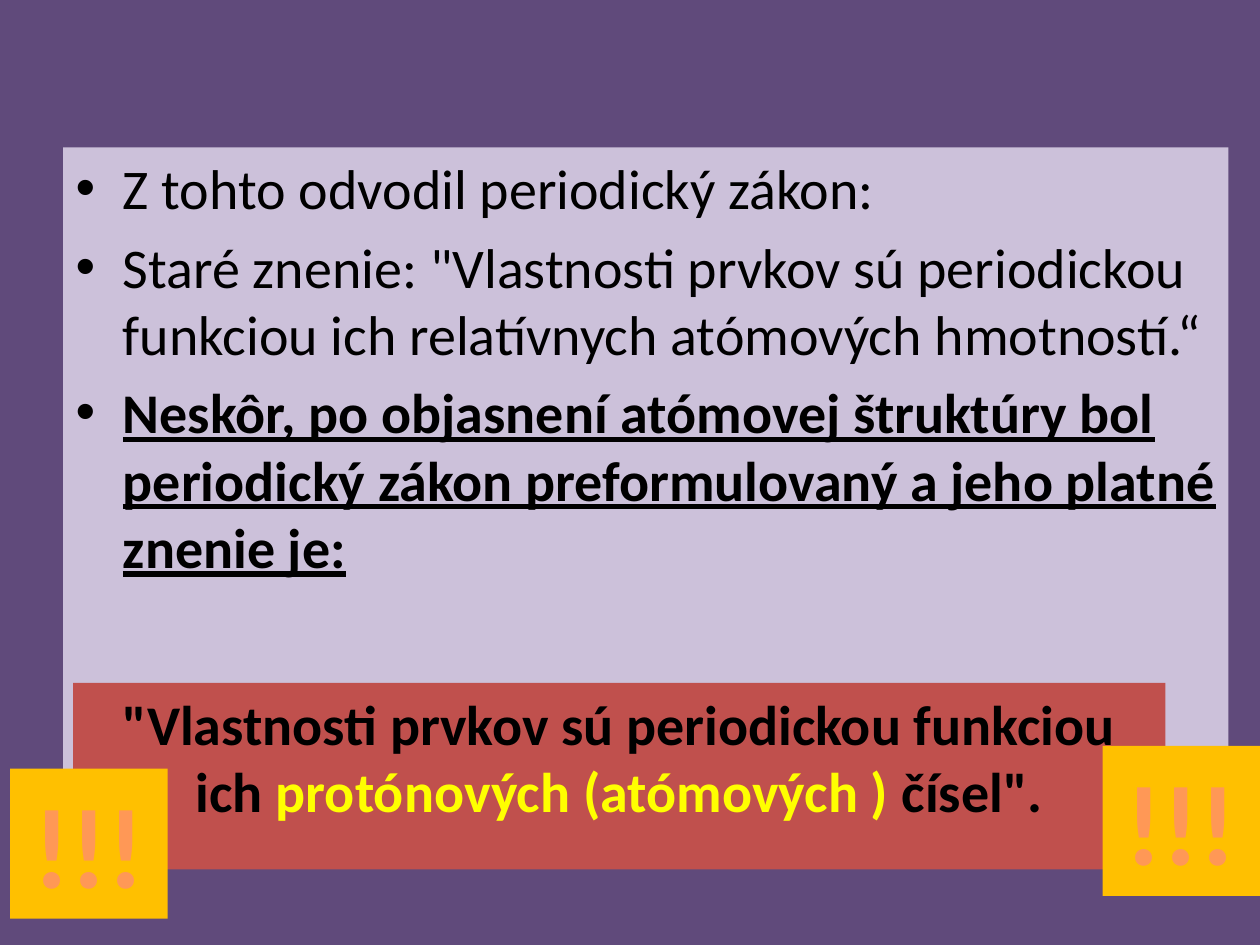
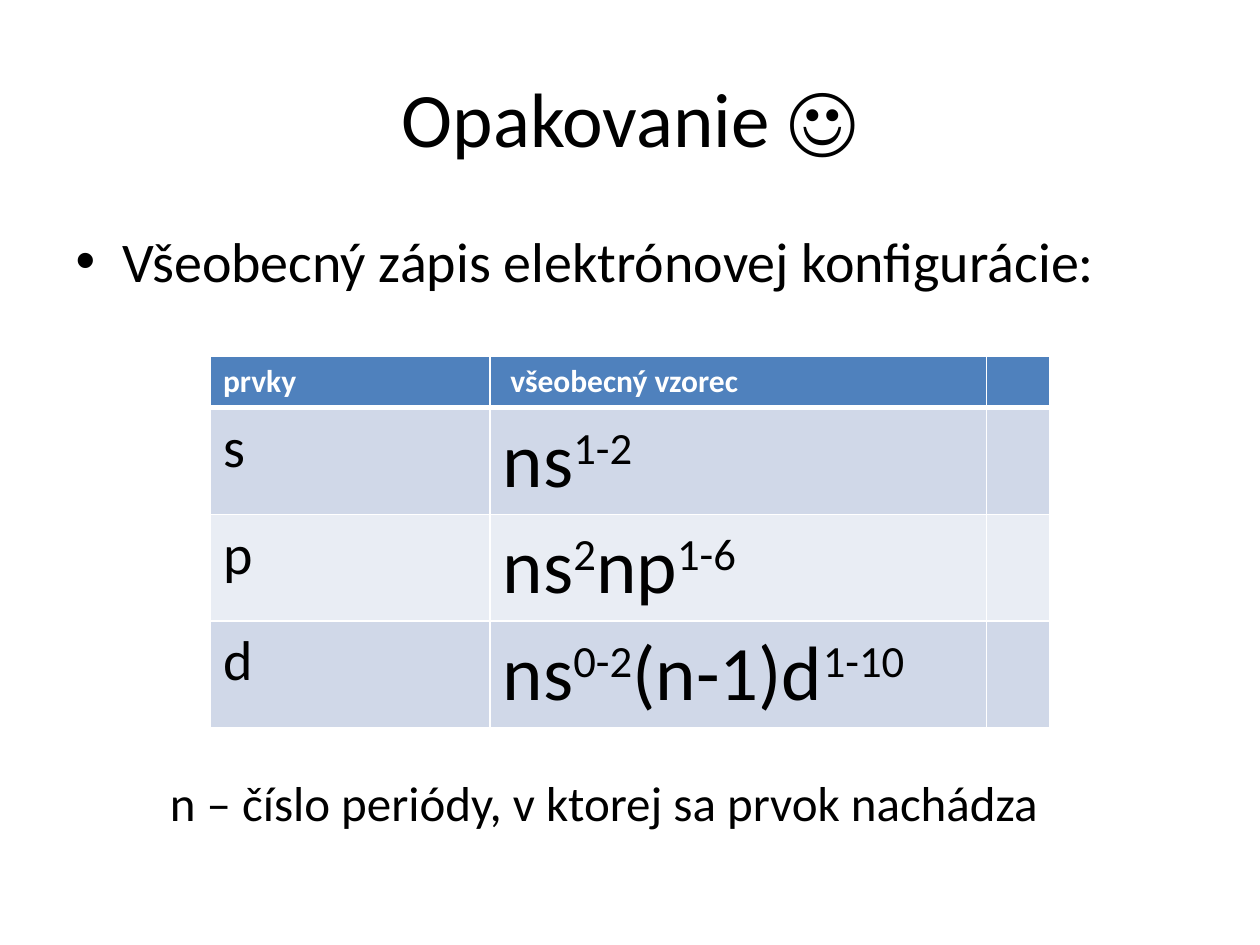
"""Build two slides on the periodic law and electron configurations."""
import lxml.etree
import pptx
import pptx.dml.color
import pptx.enum.shapes
import pptx.enum.text
import pptx.oxml
import pptx.oxml.ns
import pptx.util

Inches = pptx.util.Inches
qn = pptx.oxml.ns.qn
FONT = "Calibri"
COLORS = {
    "purple": "604A7B", "lilac": "CCC1DA", "red": "C0504D", "amber": "FFC000",
    "yellow": "FFFF00", "black": "000000", "white": "FFFFFF", "header": "4F81BD",
    "band_dark": "D0D8E8", "band_light": "E9EDF4",
    "brown": "9D4700", "orange": "FF9856", "cream": "FFF5F1",
}


def rgb(name):
    return pptx.dml.color.RGBColor.from_string(COLORS[name])


def add_run(paragraph, text, size, color="black", bold=False, underline=False, baseline=0):
    run = paragraph.add_run()
    run.text = text
    run.font.name = FONT
    run.font.size = pptx.util.Pt(size)
    run.font.bold = bold
    run.font.underline = underline
    run.font.color.rgb = rgb(color)
    if baseline:
        run.font._element.set("baseline", str(baseline * 1000))
    return run


presentation = pptx.Presentation()
presentation.slide_width = Inches(10)
presentation.slide_height = Inches(7.5)
content_layout = presentation.slide_layouts[1]

law_points = [
    ("Z tohto odvodil periodický zákon:", False),
    ('Staré znenie: "Vlastnosti prvkov sú periodickou funkciou ich relatívnych '
     'atómových hmotností.“', False),
    ("Neskôr, po objasnení atómovej štruktúry bol periodický zákon preformulovaný "
     "a jeho platné znenie je:", True),
]
review_points = [("Všeobecný zápis elektrónovej konfigurácie:", False)]
slide_plans = [
    ("purple", None, law_points, (0.5, 1.17, 9.25, 5.53)),
    ("white", "Opakovanie ☺", review_points, (0.5, 1.75, 9, 4.95)),
]
slides = []
for background, title, points, body_box in slide_plans:
    slide = presentation.slides.add_slide(content_layout)
    slides.append(slide)
    slide.background.fill.solid()
    slide.background.fill.fore_color.rgb = rgb(background)
    title_shape, body = slide.placeholders
    if title:
        title_shape.left, title_shape.top = Inches(0.5), Inches(0.3)
        title_shape.width, title_shape.height = Inches(9), Inches(1.25)
        add_run(title_shape.text_frame.paragraphs[0], title, 44)
    else:
        title_shape.element.getparent().remove(title_shape.element)
    body.left, body.top, body.width, body.height = map(Inches, body_box)
    body.text_frame.auto_size = pptx.enum.text.MSO_AUTO_SIZE.NONE
    for index, (text, emphasised) in enumerate(points):
        paragraph = body.text_frame.paragraphs[0] if index == 0 else body.text_frame.add_paragraph()
        add_run(paragraph, text, 32, bold=emphasised, underline=emphasised)
law_slide, review_slide = slides

law_body = law_slide.placeholders[1]
law_body.fill.solid()
law_body.fill.fore_color.rgb = rgb("lilac")

law_runs = [
    ('"Vlastnosti prvkov sú periodickou funkciou ich ', 32, "black"),
    ("protónových (atómových ) ", 32, "yellow"),
    ('čísel".', 32, "black"),
]
alert_runs = [("!!!", 65, "orange")]
panels = [
    ((0.58, 5.42, 8.67, 1.48), "red", law_runs),
    ((8.75, 5.92, 1.25, 1.19), "amber", alert_runs),
    ((0.08, 6.1, 1.25, 1.19), "amber", alert_runs),
]
for box, fill, runs in panels:
    panel = law_slide.shapes.add_shape(
        pptx.enum.shapes.MSO_SHAPE.RECTANGLE, *map(Inches, box))
    panel.shadow.inherit = False
    panel.fill.solid()
    panel.fill.fore_color.rgb = rgb(fill)
    panel.line.fill.background()
    panel.text_frame.word_wrap = True
    panel.text_frame.vertical_anchor = pptx.enum.text.MSO_ANCHOR.TOP
    paragraph = panel.text_frame.paragraphs[0]
    paragraph.alignment = pptx.enum.text.PP_ALIGN.CENTER
    for text, size, color in runs:
        run = add_run(paragraph, text, size, color, bold=True)
        if runs is alert_runs:
            run.font.fill.gradient()
            run.font.fill.gradient_angle = 270
            stops = run.font._element.find(".//" + qn("a:gsLst"))
            for stop in list(stops):
                stops.remove(stop)
            for position, stop_color in [(0, "brown"), (78, "orange"), (100, "cream")]:
                stop = lxml.etree.SubElement(stops, qn("a:gs"), pos=str(position * 1000))
                lxml.etree.SubElement(stop, qn("a:srgbClr"), val=COLORS[stop_color])

header = [("prvky", 18, 0)], [("všeobecný vzorec", 18, 0)], []
formulas = {
    "s": [("ns", 0), ("1-2", 30)],
    "p": [("ns", 0), ("2", 30), ("np", 0), ("1-6", 30)],
    "d": [("ns", 0), ("0-2", 30), ("(n-1)d", 0), ("1-10", 30)],
}
rows = [header] + [
    ([(element, 32, 0)], [(text, 44, baseline) for text, baseline in formula], [])
    for element, formula in formulas.items()
]
table = review_slide.shapes.add_table(
    len(rows), 3, Inches(1.67), Inches(2.83), Inches(6.66), Inches(2.92)).table
for column, width in zip(table.columns, (2.22, 3.94, 0.5)):
    column.width = Inches(width)
for row_index, cells in enumerate(rows):
    is_header = row_index == 0
    table.rows[row_index].height = Inches(0.4 if is_header else 0.84)
    fill = "header" if is_header else ("band_light", "band_dark")[row_index % 2]
    for column_index, runs in enumerate(cells):
        cell = table.cell(row_index, column_index)
        cell.fill.solid()
        cell.fill.fore_color.rgb = rgb(fill)
        for text, size, baseline in runs:
            add_run(cell.text_frame.paragraphs[0], text, size,
                    "white" if is_header else "black", bold=is_header, baseline=baseline)
        properties = cell._tc.get_or_add_tcPr()
        for position, side in enumerate("LRTB"):
            thick = (row_index, side) in [(0, "B"), (1, "T")]
            border = lxml.etree.Element(
                qn("a:ln" + side), w=str(pptx.util.Pt(3 if thick else 1)))
            border_fill = lxml.etree.SubElement(border, qn("a:solidFill"))
            lxml.etree.SubElement(border_fill, qn("a:srgbClr"), val=COLORS["white"])
            properties.insert(position, border)
table.cell(0, 1).margin_left = Inches(0.16)

note = review_slide.shapes.add_textbox(Inches(1.25), Inches(6.08), Inches(7.58), Inches(0.57))
note.text_frame.word_wrap = True
add_run(note.text_frame.paragraphs[0], "n – číslo periódy, v ktorej sa prvok nachádza", 28)

presentation.save("out.pptx")
